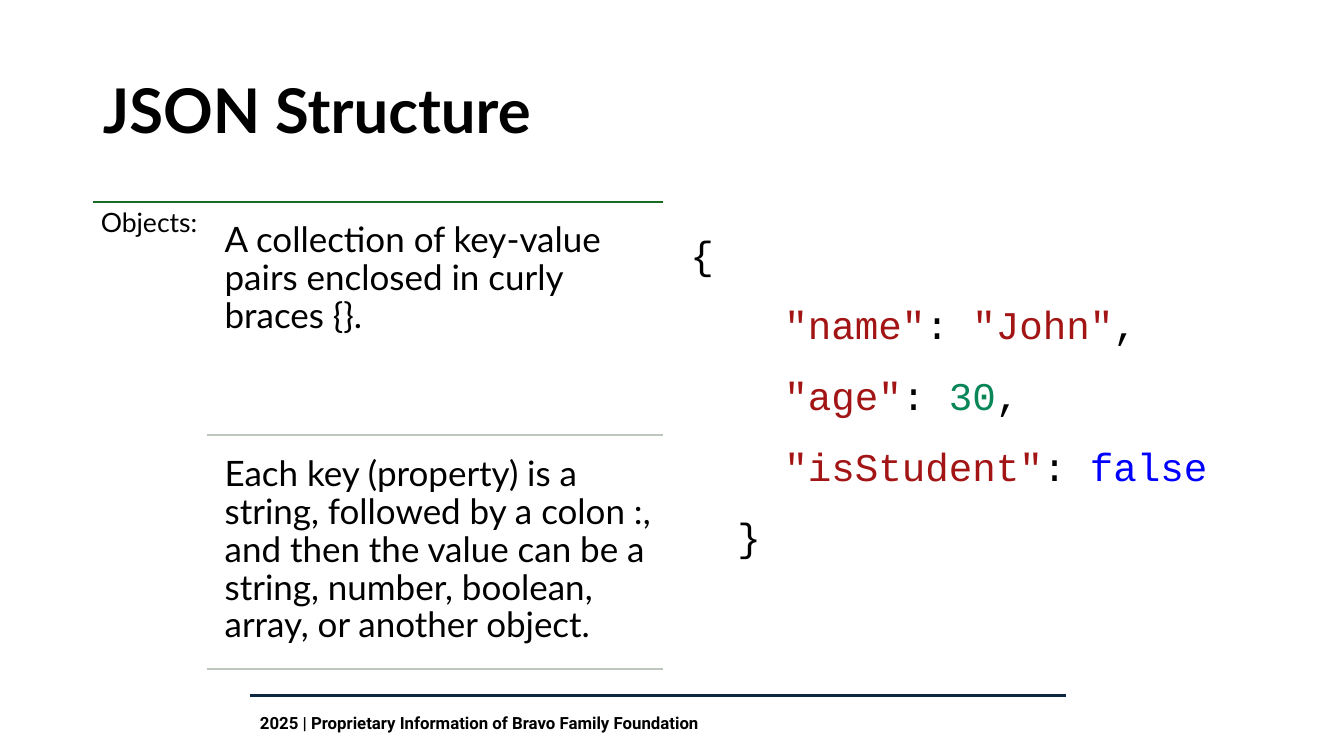
"""Build the JSON Structure slide."""
from pptx import Presentation
from pptx.dml.color import RGBColor
from pptx.enum.shapes import MSO_CONNECTOR
from pptx.enum.text import MSO_ANCHOR, MSO_AUTO_SIZE, PP_ALIGN
from pptx.oxml.ns import qn
from pptx.util import Inches, Pt
from lxml.etree import SubElement

BLACK = RGBColor(0x00, 0x00, 0x00)
WHITE = RGBColor(0xFF, 0xFF, 0xFF)
NAVY = RGBColor(0x0E, 0x28, 0x41)
GREEN = RGBColor(0x19, 0x6B, 0x24)
GRAY = RGBColor(0xBD, 0xC7, 0xBE)
CODE_STRING = RGBColor(0xA3, 0x15, 0x15)
CODE_NUMBER = RGBColor(0x09, 0x86, 0x58)
CODE_KEYWORD = RGBColor(0x00, 0x00, 0xFF)


def write_text(shape, lines, size, font="Lato", bold=False, spacing=0.9,
               anchor=MSO_ANCHOR.TOP, inset_x=0.1, inset_y=0.05):
    """Fill a shape with lines, each a list of (text, color) pieces."""
    frame = shape.text_frame
    frame.word_wrap = True
    frame.auto_size = MSO_AUTO_SIZE.NONE
    frame.vertical_anchor = anchor
    frame.margin_left = frame.margin_right = Inches(inset_x)
    frame.margin_top = frame.margin_bottom = Inches(inset_y)
    for index, pieces in enumerate(lines):
        paragraph = frame.add_paragraph() if index else frame.paragraphs[0]
        paragraph.alignment = PP_ALIGN.LEFT
        paragraph.line_spacing = spacing
        for text, color in pieces:
            run = paragraph.add_run()
            run.text = text
            run.font.name = font
            run.font.size = Pt(size)
            run.font.bold = bold
            run.font.color.rgb = color


def add_box(left, top, width, height):
    """Add an empty text box, measured in inches."""
    return slide.shapes.add_textbox(Inches(left), Inches(top), Inches(width), Inches(height))


presentation = Presentation()
presentation.slide_width = Inches(13.33)
presentation.slide_height = Inches(7.5)
slide = presentation.slides.add_slide(presentation.slide_layouts[5])
slide.background.fill.solid()
slide.background.fill.fore_color.rgb = WHITE

title = slide.shapes.title
title.left, title.top = Inches(0.92), Inches(0.4)
title.width, title.height = Inches(11.5), Inches(1.45)
write_text(title, [[("JSON Structure", BLACK)]], 44, bold=True, anchor=MSO_ANCHOR.MIDDLE)

rules = [
    (2.48, 10.57, 6.9, NAVY),
    (0.92, 6.58, 2, GREEN),
    (2.05, 6.58, 4.32, GRAY),
    (2.05, 6.58, 6.64, GRAY),
]
for start, end, y, color in rules:
    rule = slide.shapes.add_connector(
        MSO_CONNECTOR.STRAIGHT, Inches(start), Inches(y), Inches(end), Inches(y))
    rule.line.color.rgb = color
    rule.line.width = Pt(1.5)
    SubElement(rule.element.spPr, qn("a:effectLst"))

write_text(add_box(0.92, 2, 1.13, 4.76), [[("Objects:", BLACK)]], 19,
           inset_x=0.08, inset_y=0.08)

descriptions = [
    "A collection of key-value pairs enclosed in curly braces {}.",
    "Each key (property) is a string, followed by a colon :, and then the value "
    "can be a string, number, boolean, array, or another object.",
]
for row, description in enumerate(descriptions):
    write_text(add_box(2.13, 2.11 + 2.32 * row, 4.45, 2.21),
               [[(description, BLACK)]], 25, inset_y=0.1)

members = [
    ('"name"', '"John"', CODE_STRING, ","),
    ('"age"', "30", CODE_NUMBER, ","),
    ('"isStudent"', "false", CODE_KEYWORD, ""),
]
code_lines = [[("{", BLACK)]]
for key, value, color, comma in members:
    pieces = [("    ", BLACK), (key, CODE_STRING), (": ", BLACK), (value, color)]
    if comma:
        pieces.append((comma, BLACK))
    code_lines.append(pieces)
code_lines.append([("  }", BLACK)])
write_text(add_box(6.75, 2, 5.67, 4.76), code_lines, 28, font="Courier New", spacing=1.5)

write_text(add_box(2.48, 6.97, 8.09, 0.43),
           [[("2025 | Proprietary Information of Bravo Family Foundation", BLACK)]],
           12, font="Roboto", bold=True, spacing=1.0, inset_y=0.1)

presentation.save("out.pptx")
